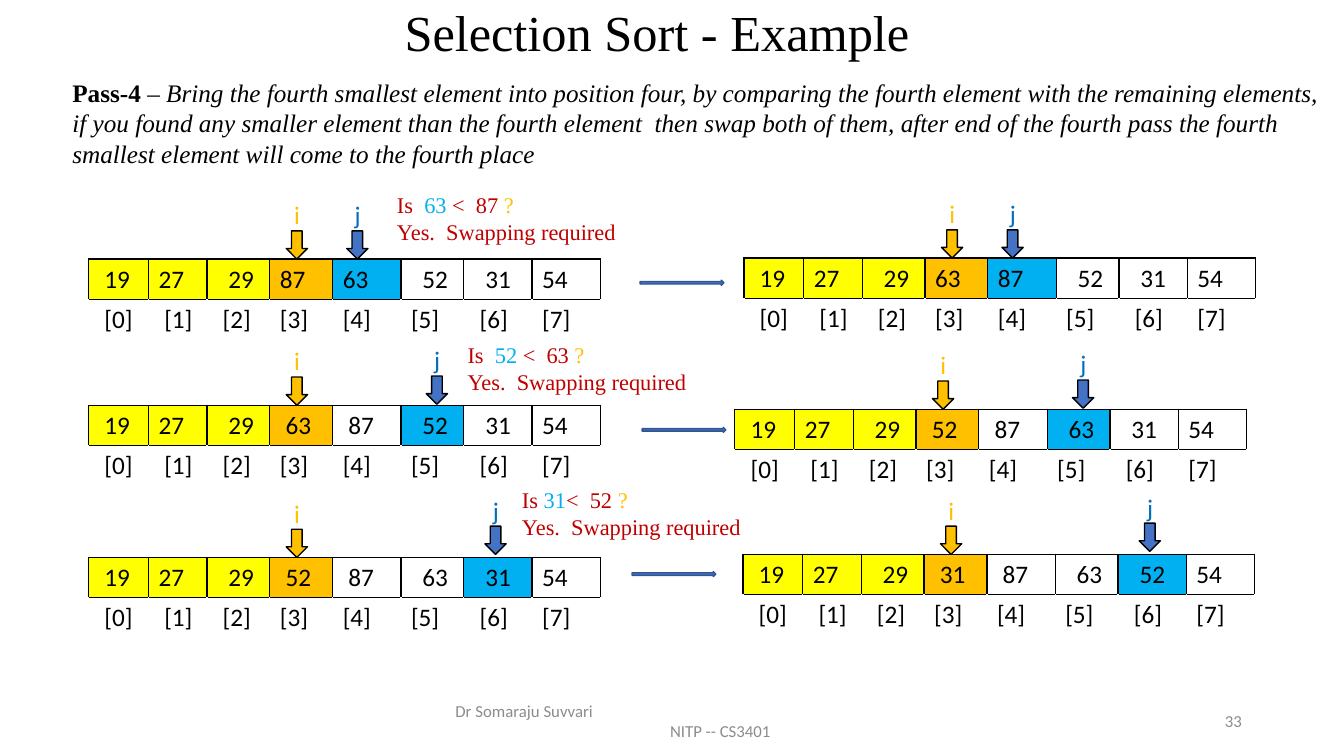
from itertools import accumulate

from lxml import etree
from pptx import Presentation
from pptx.dml.color import RGBColor
from pptx.enum.shapes import MSO_SHAPE
from pptx.enum.text import MSO_ANCHOR, PP_ALIGN
from pptx.oxml.ns import qn
from pptx.util import Emu, Inches, Pt

DOWN, RIGHT = MSO_SHAPE.DOWN_ARROW, MSO_SHAPE.RIGHT_ARROW
TOP, MIDDLE = MSO_ANCHOR.TOP, MSO_ANCHOR.MIDDLE
LEFT, CENTER, END = PP_ALIGN.LEFT, PP_ALIGN.CENTER, PP_ALIGN.RIGHT

BLACK = RGBColor(0x00, 0x00, 0x00)
WHITE = RGBColor(0xFF, 0xFF, 0xFF)
YELLOW = RGBColor(0xFF, 0xFF, 0x00)
GOLD = RGBColor(0xFF, 0xC0, 0x00)
SKY = RGBColor(0x00, 0xB0, 0xF0)
BLUE = RGBColor(0x44, 0x72, 0xC4)
NAVY = RGBColor(0x32, 0x54, 0x91)
INK = RGBColor(0x00, 0x70, 0xC0)
RED = RGBColor(0xC0, 0x00, 0x00)
GRAY = RGBColor(0x8C, 0x8C, 0x8C)

WIDTH, HEIGHT = Inches(13.333), Inches(7.5)
SERIF, SANS = "Times New Roman", "Calibri"
HEAD = {"size": Pt(36), "name": SERIF}
BODY = {"size": Pt(18), "name": SERIF}
ASK = {"size": Pt(16), "name": SERIF}
CELL = {"size": Pt(18), "name": SANS}
FOOT = {"size": Pt(12), "name": SANS}

COLS = (4.45, 4.35, 4.68, 4.68, 5.08, 4.68, 5.08, 5.08)
ROWS = (5.33, 5.47)
STARTS = (0, *accumulate(COLS))
FIXED = 3
PADS = (1, 0, 2, 1, 1, 2, 2, 0)
FIRST_PADS = (1, 0, 2, 0, 0, 2, 2, 0)
INDEX_PADS = (1, 1, 1, 0, 0, 0, 1, 0)
SPACE = Pt(4.07)

START = (19, 27, 29, 87, 63, 52, 31, 54)
PASSES = (
    {"j": 4, "shift": 1.04, "rise": 0, "left": (6.6, 34.27), "right": (55.35, 34.13),
     "ask": (28.8, 24.67), "arrow": (47.63, 37.07), "form": "  {} ", "pads": FIRST_PADS},
    {"j": 5, "shift": 1.88, "rise": 0.13, "left": (6.6, 53.6), "right": (54.68, 54.13),
     "ask": (34.05, 44.53), "arrow": (47.78, 56.53), "form": "  {} ", "pads": PADS},
    {"j": 6, "shift": 1.56, "rise": 0.4, "left": (6.6, 73.73), "right": (55.28, 73.33),
     "ask": (38.1, 63.6), "arrow": (47.03, 75.6), "form": " {}", "pads": PADS},
)
RULE = ("Bring the fourth smallest element into position four, by comparing the fourth "
        "element with the remaining elements, if you found any smaller element than the "
        "fourth element  then swap both of them, after end of the fourth pass the fourth "
        "smallest element will come to the fourth place")


def wide(share):
    """Turn a percentage of the slide's width into a length."""
    return Emu(round(WIDTH * share / 100))


def high(share):
    """Turn a percentage of the slide's height into a length."""
    return Emu(round(HEIGHT * share / 100))


def place(left, top, width, height):
    """Turn four percentages into a position and a size."""
    return wide(left), high(top), wide(width), high(height)


def write(para, runs, style):
    """Add runs of (text, colour, extra format) to a paragraph."""
    for text, color, extra in runs:
        run = para.add_run()
        run.text = text
        run.font.color.rgb = color
        for key, value in {**style, **extra}.items():
            setattr(run.font, key, value)


def label(slide, spot, lines, style, align=LEFT, anchor=TOP):
    """Add a wrapped text box and return its paragraphs."""
    frame = slide.shapes.add_textbox(*place(*spot)).text_frame
    frame.word_wrap, frame.vertical_anchor = True, anchor
    for order, runs in enumerate(lines):
        para = frame.add_paragraph() if order else frame.paragraphs[0]
        para.alignment = align
        write(para, runs, style)
    return frame.paragraphs


def arrow(slide, kind, spot, fill, line):
    """Add a filled block arrow with a thin outline."""
    shape = slide.shapes.add_shape(kind, *place(*spot))
    shape.shadow.inherit = False
    shape.fill.solid()
    shape.fill.fore_color.rgb = fill
    shape.line.color.rgb = line
    shape.line.width = Pt(1)


def edge(cell, sides):
    """Draw black borders on the given sides of a cell."""
    props = cell._tc.get_or_add_tcPr()
    for order, side in enumerate(sides):
        line = etree.Element(qn(f"a:ln{side}"), w=str(Pt(1)))
        solid = etree.SubElement(line, qn("a:solidFill"))
        etree.SubElement(solid, qn("a:srgbClr"), val=str(BLACK))
        props.insert(order, line)


def fill_cell(cell, text, pad, color, sides):
    """Set the text, indent, fill and borders of a cell."""
    cell.margin_left = Inches(0.1) + pad * SPACE
    cell.margin_right = 0
    write(cell.text_frame.paragraphs[0], [(text, BLACK, {})], CELL)
    if color is None:
        cell.fill.background()
    else:
        cell.fill.solid()
        cell.fill.fore_color.rgb = color
    edge(cell, sides)


def array(slide, spot, nums, j, pads):
    """Add the array as a table with an index under each value."""
    size = (sum(COLS), sum(ROWS))
    table = slide.shapes.add_table(2, len(nums), *place(*spot, *size)).table
    table.first_row = table.horz_banding = False
    for row, share in zip(table.rows, ROWS):
        row.height = high(share)
    tints = {FIXED: GOLD, j: SKY}
    for col, num in enumerate(nums):
        table.columns[col].width = wide(COLS[col])
        tint = tints.get(col, YELLOW if col < FIXED else WHITE)
        fill_cell(table.cell(0, col), str(num), pads[col], tint, "LRTB")
        fill_cell(table.cell(1, col), f"[{col}]", INDEX_PADS[col], None, "T")


def pointer(slide, left, base, name, fill, ink):
    """Add a lettered arrow that ends on the array's top edge."""
    arrow(slide, DOWN, (left, base - 3.73, 1.58, 3.73), fill, BLACK)
    label(slide, (left - 0.15, base - 8.53, 2.33, 5.33), [[(name, ink, {})]], CELL)


def state(slide, spot, nums, step):
    """Add one array with its two pointers."""
    left, top = spot
    j = step["j"]
    array(slide, spot, nums, j, step["pads"])
    pointer(slide, left + STARTS[FIXED] + 1.22, top, "i", GOLD, GOLD)
    pointer(slide, left + STARTS[j] + step["shift"], top - step["rise"], "j", BLUE, INK)


def trade(nums, j):
    """Return the numbers with the fixed place and j swapped."""
    swapped = list(nums)
    swapped[FIXED], swapped[j] = nums[j], nums[FIXED]
    return swapped


def compare(slide, nums, step):
    """Add a question, the arrays before and after it, and return the result."""
    j = step["j"]
    after = trade(nums, j)
    state(slide, step["left"], nums, step)
    arrow(slide, RIGHT, (*step["arrow"], 6.23, 0.67), BLUE, NAVY)
    state(slide, step["right"], after, step)
    ask = [("Is", RED, {}), (step["form"].format(nums[j]), SKY, {}),
           (f"<  {nums[FIXED]} ", RED, {}), ("?", GOLD, {})]
    reply = [("Yes.  Swapping required", RED, {})]
    label(slide, (*step["ask"], 18.83, 8.53), [ask, reply], ASK)
    return after


def main():
    """Build the slide and save it."""
    deck = Presentation()
    deck.slide_width, deck.slide_height = WIDTH, HEIGHT
    slide = deck.slides.add_slide(deck.slide_layouts[6])
    title = label(slide, (16.12, 1.33, 65.55, 6.67),
                  [[("Selection Sort - Example", BLACK, {})]], HEAD, CENTER, MIDDLE)
    title[0].line_spacing = 0.9
    label(slide, (4.65, 9.6, 94.35, 13.47),
          [[("Pass-4 ", BLACK, {"bold": True}), ("– ", BLACK, {}),
            (RULE, BLACK, {"italic": True})]], BODY)
    nums = START
    for step in PASSES:
        nums = compare(slide, nums, step)
    foot = label(slide, (33.15, 92.67, 33.75, 5.33),
                 [[("Dr Somaraju Suvvari", GRAY, {})], [("NITP -- CS3401", GRAY, {})]],
                 FOOT, LEFT, MIDDLE)
    foot[1]._p.get_or_add_pPr().set("marL", str(wide(15.97)))
    label(slide, (70.65, 92.67, 22.5, 5.33), [[("33", GRAY, {})]], FOOT, END, MIDDLE)
    deck.save("out.pptx")


main()
